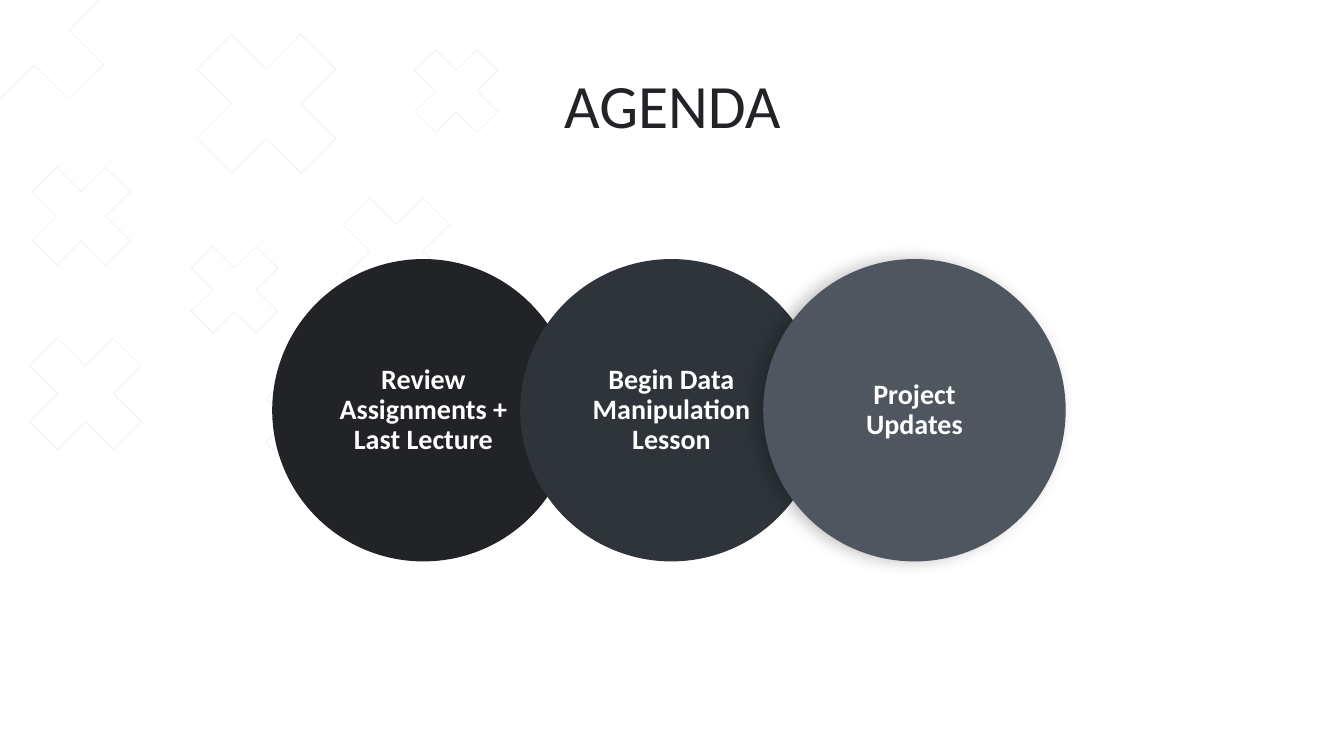
from lxml.etree import SubElement
from pptx import Presentation
from pptx.dml.color import RGBColor
from pptx.enum.shapes import MSO_SHAPE
from pptx.enum.text import MSO_ANCHOR, PP_ALIGN
from pptx.oxml.ns import qn
from pptx.util import Inches, Pt


def write_text(shape, text, size, color, bold=False, inset_x=0.1, inset_y=0.05):
    frame = shape.text_frame
    frame.text = text
    frame.word_wrap = True
    frame.vertical_anchor = MSO_ANCHOR.MIDDLE
    frame.margin_left = frame.margin_right = Inches(inset_x)
    frame.margin_top = frame.margin_bottom = Inches(inset_y)
    paragraph = frame.paragraphs[0]
    paragraph.alignment = PP_ALIGN.CENTER
    paragraph.line_spacing = 0.9
    font = paragraph.runs[0].font
    font.name = "Calibri"
    font.size = Pt(size)
    font.bold = bold
    font.color.rgb = RGBColor.from_string(color)


def add_color(parent, color, opacity):
    """Append a colour with an opacity in percent to an XML element."""
    srgb = SubElement(parent, qn("a:srgbClr"), val=color)
    SubElement(srgb, qn("a:alpha"), val=str(opacity * 1000))


prs = Presentation()
prs.slide_width = Inches(13.33)
prs.slide_height = Inches(7.5)
slide = prs.slides.add_slide(prs.slide_layouts[5])

# Background crosses: left, top, size
crosses = [
    (-0.39, -0.43, 1.46),
    (1.91, 0.3, 1.46),
    (0.29, 1.63, 1.03),
    (1.87, 2.42, 0.91),
    (3.37, 1.93, 1.12),
    (4.09, 0.47, 0.87),
    (0.26, 3.32, 1.17),
    (2.61, 3.72, 0.91),
]
for left, top, size in crosses:
    cross = slide.shapes.add_shape(
        MSO_SHAPE.CROSS, Inches(left), Inches(top), Inches(size), Inches(size)
    )
    cross.adjustments[0] = 0.333
    cross.rotation = 45
    cross.shadow.inherit = False
    cross.fill.background()
    cross.line.width = Pt(0.25)
    cross.line.fill.solid()
    outline = cross.line.fill._xPr.find(qn("a:solidFill"))
    outline.clear()
    add_color(outline, "000000", 10)

# Title
title = slide.shapes.title
title.left, title.top = Inches(0.92), Inches(0.68)
title.width, title.height = Inches(11.5), Inches(0.79)
write_text(title, "AGENDA", size=44, color="212327")

# Overlapping agenda circles
agenda = [
    (2.7, "212327", "Review Assignments + Last Lecture"),
    (5.16, "2E3439", "Begin Data Manipulation Lesson"),
    (7.57, "50565F", "Project Updates"),
]
for left, color, topic in agenda:
    circle = slide.shapes.add_shape(
        MSO_SHAPE.OVAL, Inches(left), Inches(2.57), Inches(3), Inches(3)
    )
    circle.shadow.inherit = False
    circle.fill.solid()
    circle.fill.fore_color.rgb = RGBColor.from_string(color)
    circle.line.fill.background()
    write_text(circle, topic, size=20, color="FFFFFF", bold=True,
               inset_x=0.17, inset_y=0.03)

# The last circle casts a soft shadow to the left
effects = circle._element.spPr.find(qn("a:effectLst"))
shadow = SubElement(
    effects, qn("a:outerShdw"),
    blurRad=str(Pt(11.7)), dist=str(Pt(4.9)), dir=str(180 * 60000),
    algn="ctr", rotWithShape="0",
)
add_color(shadow, "000000", 23)

prs.save("out.pptx")
